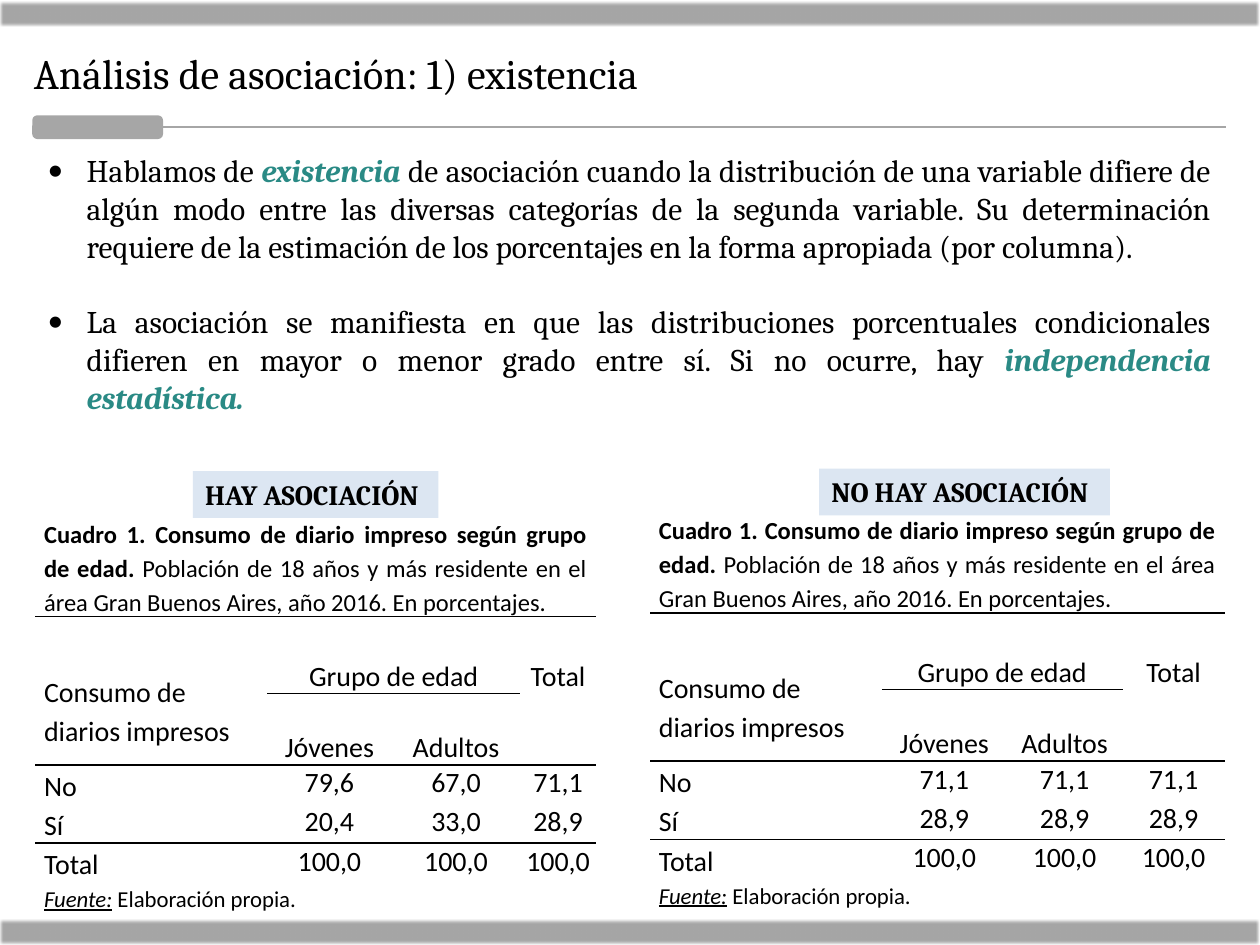
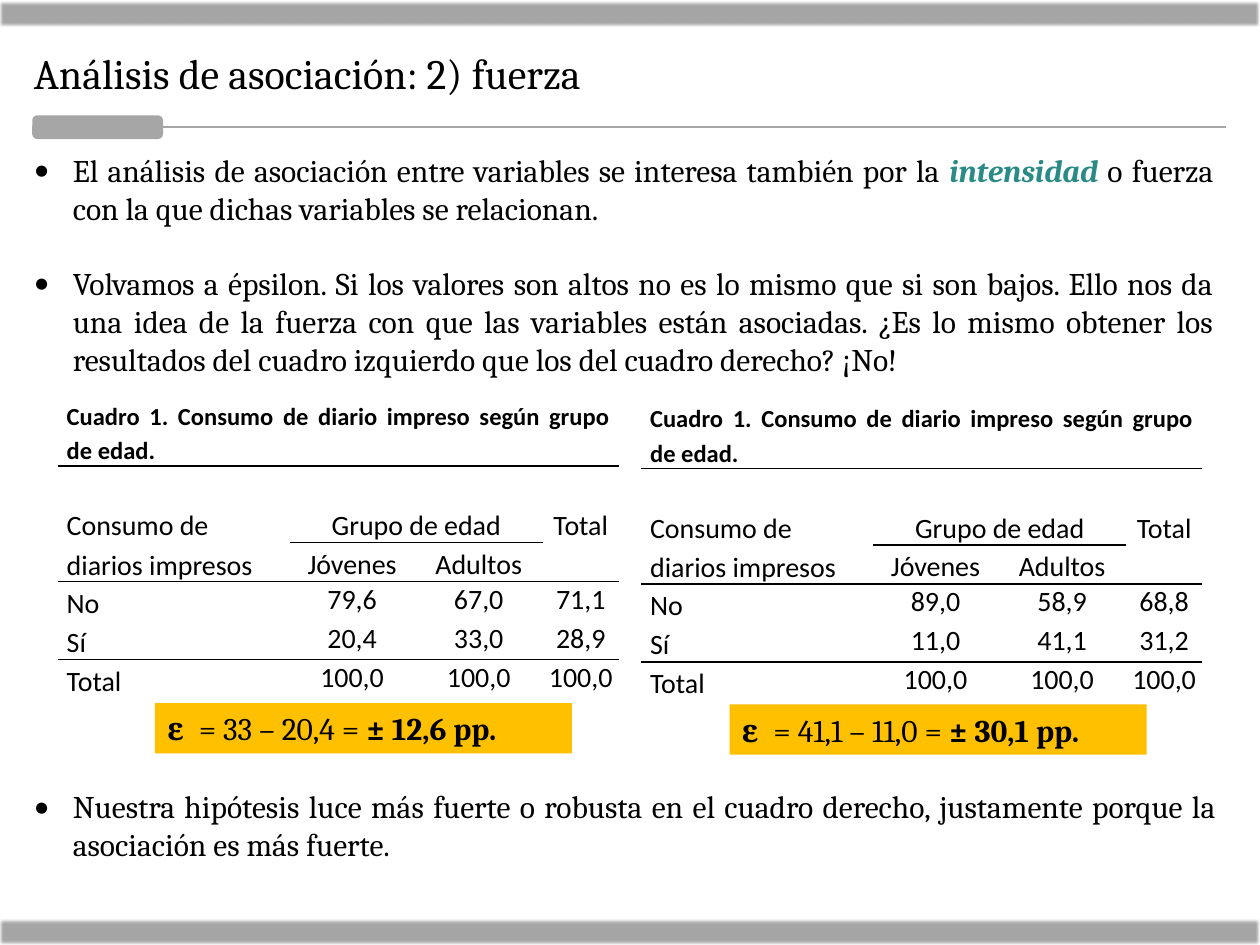
from lxml import etree
from pptx import Presentation, util as u
from pptx.dml.color import RGBColor
from pptx.enum import shapes, text
from pptx.oxml import ns

W, H = 10, 7.5
BLACK, GREY, TEAL, PALE_BLUE, AMBER = "000000", "A6A6A6", "2A8A85", "DCE6F2", "FFC000"
NO_STYLE = "{2D5ABB26-0587-4C30-8999-92F81FD0307C}"

FORMATS = {
    "title": {"name": "Cambria", "size": 24},
    "body": {"name": "Cambria", "size": 18},
    "strong": {"name": "Cambria", "size": 18, "bold": True},
    "key": {"name": "Cambria", "size": 18, "bold": True, "italic": True, "color": TEAL},
    "label": {"name": "Cambria", "size": 16, "bold": True},
    "caption": {"name": "Calibri", "size": 14, "bold": True},
    "population": {"name": "Calibri", "size": 14, "bold": False},
    "cell": {"name": "Calibri", "size": 16, "bold": False},
    "source": {"name": "Calibri", "size": 13, "italic": True, "underline": True},
    "credit": {"name": "Calibri", "size": 13, "bold": False},
}

CAPTION = ("Cuadro 1. Consumo de diario impreso según grupo de edad. ", "caption")
POPULATION = ("Población de 18 años y más residente en el área Gran Buenos Aires, "
              "año 2016. En porcentajes.", "population")
SOURCE = [("Fuente:", "source"), (" Elaboración propia.", "credit")]
ROW_NAMES = ("No", "Sí", "Total")
TOTALS = ("100,0", "100,0", "100,0")
WIDE_TOTAL = (1.84, 0.99, 0.11, 0.81, 0.81)
NARROW_TOTAL = (1.84, 0.99, 1.02, 0.6)

PRINTED = [("79,6", "67,0", "71,1"), ("20,4", "33,0", "28,9"), TOTALS]
EQUAL = [("71,1",) * 3, ("28,9",) * 3, TOTALS]
STRONGER = [("89,0", "58,9", "68,8"), ("11,0", "41,1", "31,2"), TOTALS]

SLIDES = [
    {
        "title": "Análisis de asociación: 1) existencia",
        "bullets": [((0.28, 1.15, 9.43, 2.52), [
            [("Hablamos de ", "body"), ("existencia", "key"),
             (" de asociación cuando la distribución de una variable difiere de algún modo "
              "entre las diversas categorías de la segunda variable. Su determinación requiere "
              "de la estimación de los porcentajes en la forma apropiada (por columna).", "body")],
            [("La asociación se manifiesta en que las distribuciones porcentuales condicionales "
              "difieren en mayor o menor grado entre sí. Si no ocurre, hay ", "body"),
             ("independencia estadística.", "key")],
        ])],
        "caption": [CAPTION, POPULATION],
        "names_height": 0.57,
        "source": SOURCE,
        "tables": [((0.28, 4.09), NARROW_TOTAL, PRINTED), ((5.16, 4.06), WIDE_TOTAL, EQUAL)],
        "tags": [((1.53, 3.74, 1.95, 0.37), PALE_BLUE, [("HAY ASOCIACIÓN", "label")]),
                 ((6.5, 3.72, 2.31, 0.37), PALE_BLUE, [("NO HAY ASOCIACIÓN", "label")])],
    },
    {
        "title": "Análisis de asociación: 2) fuerza",
        "bullets": [
            ((0.17, 1.15, 9.56, 2.22), [
                [("El análisis de asociación entre variables se interesa también por la ", "body"),
                 ("intensidad", "key"),
                 (" o fuerza con la que dichas variables se relacionan.", "body")],
                [("Volvamos a épsilon. Si los valores son altos no es lo mismo que si son bajos. "
                  "Ello nos da una idea de la fuerza con que las variables están asociadas. ¿Es lo "
                  "mismo obtener los resultados del cuadro izquierdo que los del cuadro derecho? "
                  "¡No!", "body")],
            ]),
            ((0.17, 6.2, 9.58, 0.71), [
                [("Nuestra hipótesis luce más fuerte o robusta en el cuadro derecho, justamente "
                  "porque la asociación es más fuerte.", "body")],
            ]),
        ],
        "caption": [CAPTION],
        "names_height": 0.3,
        "source": None,
        "tables": [((0.46, 2.95), NARROW_TOTAL, PRINTED), ((5.09, 2.97), NARROW_TOTAL, STRONGER)],
        "tags": [((1.23, 5.58, 3.31, 0.4), AMBER,
                  [("ε\t", "strong"), ("= 33 – 20,4 = ", "body"), ("± 12,6 pp.", "strong")]),
                 ((5.79, 5.59, 3.31, 0.4), AMBER,
                  [("ε\t", "strong"), ("= 41,1 – 11,0 = ", "body"), ("± 30,1 pp.", "strong")])],
    },
]


def rgb(value):
    return RGBColor.from_string(value)


def inches(values):
    return [u.Inches(value) for value in values]


def add_child(parent, tag, **attributes):
    return etree.SubElement(parent, ns.qn(tag), attributes)


def write(paragraph, runs, align=text.PP_ALIGN.JUSTIFY):
    paragraph.alignment = align
    for words, style in runs:
        run = paragraph.add_run()
        run.text = words
        values = {"color": BLACK, **FORMATS[style]}
        run.font.color.rgb = rgb(values.pop("color"))
        values["size"] = u.Pt(values["size"])
        for key, value in values.items():
            setattr(run.font, key, value)


def hang(paragraph, depth, bullet=None):
    props = paragraph._p.get_or_add_pPr()
    props.set("marL", str(u.Inches(depth)))
    props.set("indent", str(-u.Inches(depth)))
    if bullet:
        add_child(props, "a:buFont", typeface="Calibri")
        add_child(props, "a:buChar", char=bullet)


def add_text(slide, box, paragraphs, bullet=None):
    frame = slide.shapes.add_textbox(*inches(box)).text_frame
    frame.word_wrap = True
    for index, runs in enumerate(paragraphs):
        paragraph = frame.add_paragraph() if index else frame.paragraphs[0]
        if bullet:
            hang(paragraph, 0.31, bullet)
        if index:
            paragraph.space_before = u.Pt(21.5)
        write(paragraph, runs)


def add_block(slide, kind, box, fill):
    block = slide.shapes.add_shape(kind, *inches(box))
    block.shadow.inherit = False
    block.fill.solid()
    block.fill.fore_color.rgb = rgb(fill)
    block.line.fill.background()
    return block


def add_tag(slide, box, fill, runs):
    tag = add_block(slide, shapes.MSO_SHAPE.RECTANGLE, box, fill)
    tag.text_frame.word_wrap = True
    tag.text_frame.vertical_anchor = text.MSO_ANCHOR.TOP
    paragraph = tag.text_frame.paragraphs[0]
    if "\t" in runs[0][0]:
        hang(paragraph, 0.25)
    write(paragraph, runs)


def add_frame(slide, title):
    for top in (0.01, 7.3):
        band = add_block(slide, shapes.MSO_SHAPE.RECTANGLE, (0, top, W, 0.2), GREY)
        effects = band._element.spPr.find(ns.qn("a:effectLst"))
        add_child(effects, "a:softEdge", rad=str(u.Pt(1)))
    tab = add_block(slide, shapes.MSO_SHAPE.ROUNDED_RECTANGLE, (0.27, 0.93, 1.01, 0.16), GREY)
    rule = slide.shapes.add_connector(shapes.MSO_CONNECTOR.STRAIGHT,
                                      *inches((1.28, 1.01, 9.73, 1.01)))
    rule.begin_connect(tab, 3)
    for part, width in ((tab, 2), (rule, 1.25)):
        part.line.color.rgb = rgb(GREY)
        part.line.width = u.Pt(width)
    add_child(rule._element.spPr, "a:effectLst")
    add_text(slide, (0.17, 0.33, 9.56, 0.5), [[(title, "title")]])


def fill_cell(cell, runs, align, anchor, spacing=1.15):
    cell.vertical_anchor = anchor
    paragraph = cell.text_frame.paragraphs[0]
    write(paragraph, runs, align)
    paragraph.line_spacing = spacing


def underline(cell):
    props = cell._tc.get_or_add_tcPr()
    border = etree.Element(ns.qn("a:lnB"), w=str(u.Pt(1)))
    add_child(add_child(border, "a:solidFill"), "a:srgbClr", val=BLACK)
    props.insert(0, border)


def add_crosstab(slide, corner, widths, values, caption, names_height, source):
    heights = [0.75, 0.3, 0.29, names_height] + [0.31] * (len(values) + bool(source))
    box = (*corner, sum(widths), sum(heights))
    table = slide.shapes.add_table(len(heights), len(widths), *inches(box)).table
    table.first_row = table.horz_banding = False
    table._tbl.tblPr.find(ns.qn("a:tableStyleId")).text = NO_STYLE
    for column, width in zip(table.columns, widths):
        column.width = u.Inches(width)
    for row, height in zip(table.rows, heights):
        row.height = u.Inches(height)

    margins = {"margin_left": 0.07, "margin_right": 0.07, "margin_top": 0, "margin_bottom": 0}
    number_margins = {"margin_left": 0.01, "margin_right": 0.01, "margin_top": 0.01}
    for r, row in enumerate(table.rows):
        for c, cell in enumerate(row.cells):
            cell.fill.background()
            is_number = c and 4 <= r < 4 + len(values)
            for key, value in {**margins, **(number_margins if is_number else {})}.items():
                setattr(cell, key, u.Inches(value))
            if r in (0, 2, 3, 5):
                underline(cell)

    last = len(widths) - 1
    merges = [(0, 0, 0, last), (2, 0, 3, 0), (2, 1, 2, last - 1), (2, last, 3, last)]
    if last > 3:
        merges += [(1, 1, 1, 2)] + [(r, 2, r, last - 1) for r in range(3, 7)]
    if source:
        merges.append((7, 0, 7, last))
    for top, left, bottom, right in merges:
        table.cell(top, left).merge(table.cell(bottom, right))

    left, center, justify = text.PP_ALIGN.LEFT, text.PP_ALIGN.CENTER, text.PP_ALIGN.JUSTIFY
    upper, middle, lower = text.MSO_ANCHOR.TOP, text.MSO_ANCHOR.MIDDLE, text.MSO_ANCHOR.BOTTOM
    fill_cell(table.cell(0, 0), caption, justify, lower)
    headings = [
        (2, 0, "Consumo de diarios impresos", left, middle),
        (2, 1, "Grupo de edad", center, lower),
        (2, last, "Total", center, upper),
        (3, 1, "Jóvenes", center, lower),
        (3, 2, "Adultos", center, lower),
    ]
    for r, c, words, align, anchor in headings:
        fill_cell(table.cell(r, c), [(words, "cell")], align, anchor)
    for r, (name, numbers) in enumerate(zip(ROW_NAMES, values), 4):
        fill_cell(table.cell(r, 0), [(name, "cell")], left, lower)
        for c, number in zip((1, 2, last), numbers):
            fill_cell(table.cell(r, c), [(number, "cell")], center, upper, 1.0)
    if source:
        fill_cell(table.cell(7, 0), source, justify, upper)


def main():
    deck = Presentation()
    deck.slide_width, deck.slide_height = inches((W, H))
    for content in SLIDES:
        slide = deck.slides.add_slide(deck.slide_layouts[6])
        add_frame(slide, content["title"])
        for box, paragraphs in content["bullets"]:
            add_text(slide, box, paragraphs, "•")
        for corner, widths, values in content["tables"]:
            add_crosstab(slide, corner, widths, values, content["caption"],
                         content["names_height"], content["source"])
        for box, fill, runs in content["tags"]:
            add_tag(slide, box, fill, runs)
    deck.save("out.pptx")


if __name__ == "__main__":
    main()
